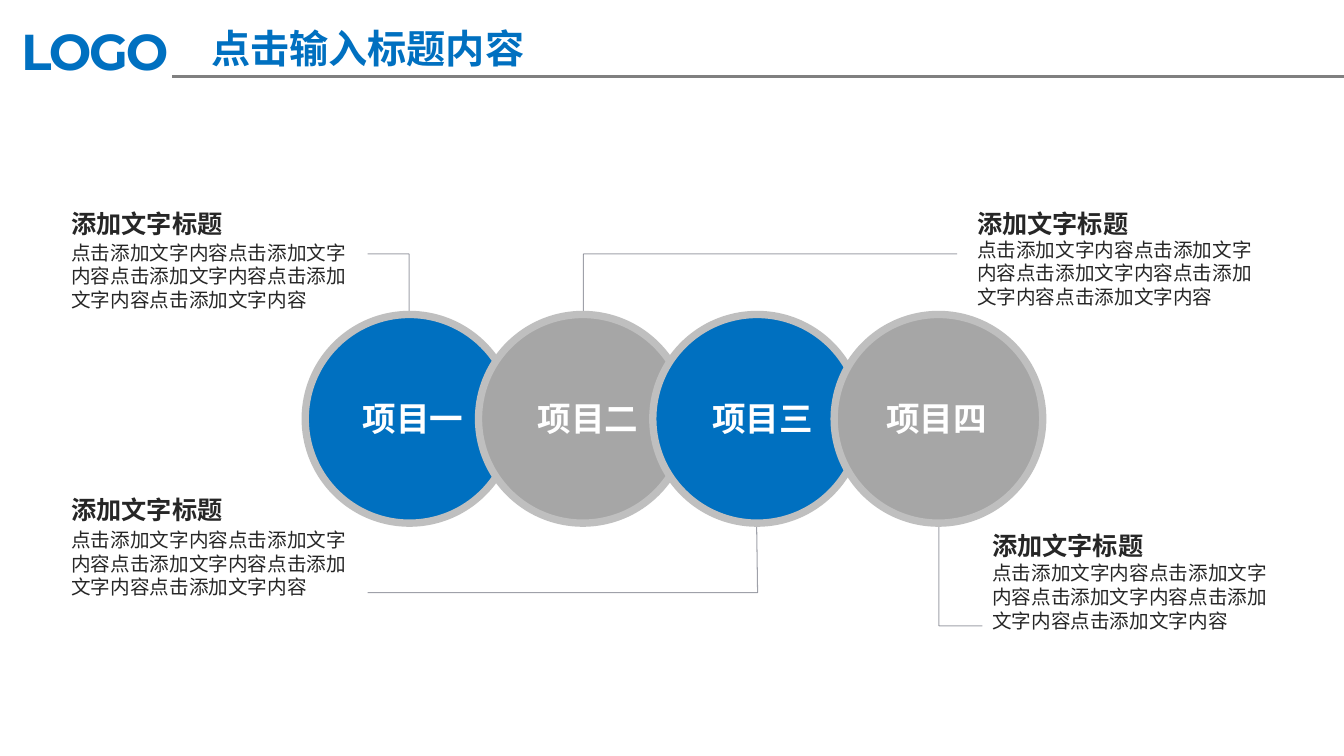
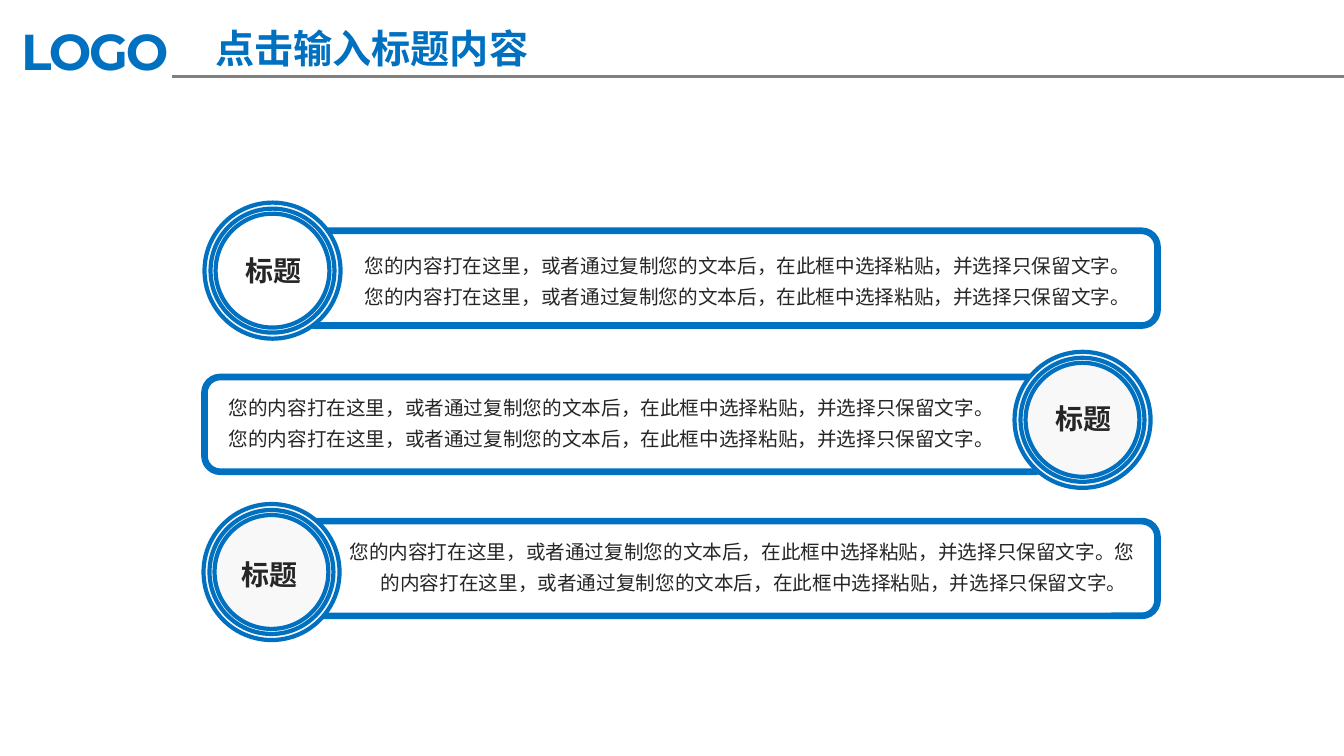
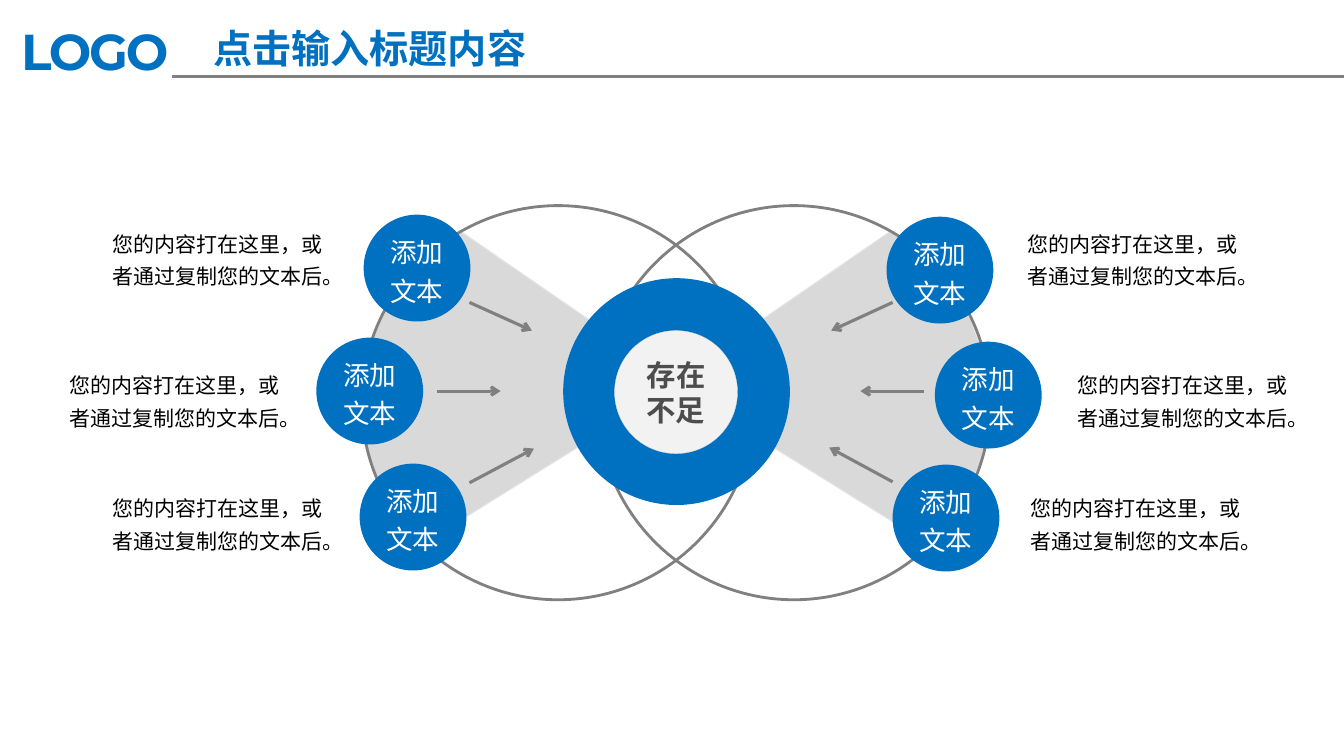
from dataclasses import dataclass

from lxml import etree
from pptx import Presentation
from pptx.dml.color import RGBColor
from pptx.enum.shapes import MSO_CONNECTOR, MSO_SHAPE
from pptx.enum.text import MSO_ANCHOR, MSO_AUTO_SIZE, PP_ALIGN
from pptx.oxml.ns import qn
from pptx.util import Pt

PX = 9144


@dataclass(frozen=True)
class Theme:
    blue: str = "0070C0"
    gray: str = "808080"
    disc: str = "A6A6A6"
    rim: str = "BFBFBF"
    fan: str = "D9D9D9"
    fan_edge: str = "E6E6E6"
    pale: str = "F8F8F8"
    core: str = "F2F2F2"
    core_edge: str = "D7D7D7"
    leader: str = "414455"
    ink: str = "262626"
    core_ink: str = "4D4D4D"
    black: str = "000000"
    white: str = "FFFFFF"
    font: str = "Noto Sans CJK SC"
    logo_font: str = "Montserrat"
    bubble_font: str = "Arial"
    core_font: str = "Arial Narrow"
    logo: int = 36
    title: int = 28
    label: int = 24
    core_size: int = 21
    badge: int = 20
    bubble: int = 19
    heading: int = 18
    note: int = 15
    body: int = 14


T = Theme()


def rgb(color):
    return RGBColor.from_string(color)


def bezier(p0, p1, p2, p3, steps=12):
    points = []
    for i in range(1, steps + 1):
        t = i / steps
        u = 1 - t
        points.append(tuple(
            round(u**3 * a + 3 * u * u * t * b + 3 * u * t * t * c + t**3 * d, 2)
            for a, b, c, d in zip(p0, p1, p2, p3)))
    return points


class Deck:
    def __init__(self, width, height):
        self.prs = Presentation()
        self.prs.slide_width = width * PX
        self.prs.slide_height = height * PX
        self.width = width
        self.s = None

    def slide(self, title, title_x):
        self.s = self.prs.slides.add_slide(self.prs.slide_layouts[5])
        sp = self.s.shapes.title
        sp.left, sp.top, sp.width, sp.height = (
            v * PX for v in (title_x, 19, 360, 57))
        self.fill_text(sp, title, T.title, T.blue, bold=True, align=PP_ALIGN.CENTER)
        self.text(8, 13, 186, 74, "LOGO", T.logo, T.blue, bold=True,
                  font=T.logo_font, inset=(13, 7), tracking=-150)
        self.line((171, 76), (self.width, 76), T.gray, 2)

    def fill_text(self, sp, text, size, color, bold=False, font=T.font,
                  align=PP_ALIGN.LEFT, anchor=MSO_ANCHOR.TOP, spacing=None,
                  inset=(10, 5), hang=0, tracking=None):
        tf = sp.text_frame
        tf.word_wrap = True
        tf.auto_size = MSO_AUTO_SIZE.NONE
        tf.vertical_anchor = anchor
        tf.margin_left = tf.margin_right = inset[0] * PX
        tf.margin_top = tf.margin_bottom = inset[1] * PX
        p = tf.paragraphs[0]
        p.alignment = align
        if spacing:
            p.line_spacing = spacing
        if hang:
            pPr = p._p.get_or_add_pPr()
            pPr.set("marL", str(hang * PX))
            pPr.set("indent", str(-hang * PX))
        r = p.add_run()
        r.text = text
        r.font.size = Pt(size)
        r.font.bold = bold
        r.font.name = font
        r.font.color.rgb = rgb(color)
        rPr = r._r.get_or_add_rPr()
        etree.SubElement(rPr, qn("a:ea")).set("typeface", font)
        if tracking:
            rPr.set("spc", str(tracking))

    def text(self, x, y, w, h, text, size, color, **style):
        sp = self.s.shapes.add_textbox(x * PX, y * PX, w * PX, h * PX)
        self.fill_text(sp, text, size, color, **style)

    def paint(self, sp, fill, line, weight):
        sp.shadow.inherit = False
        if fill:
            sp.fill.solid()
            sp.fill.fore_color.rgb = rgb(fill)
        else:
            sp.fill.background()
        if line:
            sp.line.color.rgb = rgb(line)
            sp.line.width = Pt(weight)
        else:
            sp.line.fill.background()

    def shape(self, kind, x, y, w, h, fill=None, line=None, weight=1):
        sp = self.s.shapes.add_shape(kind, x * PX, y * PX, w * PX, h * PX)
        self.paint(sp, fill, line, weight)
        return sp

    def circle(self, x, y, size, fill=None, line=None, weight=1):
        return self.shape(MSO_SHAPE.OVAL, x, y, size, size, fill, line, weight)

    def polygon(self, points, fill, line, weight):
        builder = self.s.shapes.build_freeform(*points[0], scale=PX)
        builder.add_line_segments(points[1:], close=True)
        self.paint(builder.convert_to_shape(), fill, line, weight)

    def line(self, start, end, color, weight, alpha=None, arrow=False):
        cx = self.s.shapes.add_connector(
            MSO_CONNECTOR.STRAIGHT, *(v * PX for v in (*start, *end)))
        cx.line.color.rgb = rgb(color)
        cx.line.width = Pt(weight)
        spPr = cx._element.spPr
        ln = spPr.find(qn("a:ln"))
        if alpha:
            clr = ln.find(".//" + qn("a:srgbClr"))
            etree.SubElement(clr, qn("a:alpha")).set("val", str(alpha * 1000))
        if arrow:
            etree.SubElement(ln, qn("a:tailEnd")).set("type", "arrow")
        etree.SubElement(spPr, qn("a:effectLst"))

    def leader(self, *points):
        for start, end in zip(points, points[1:]):
            self.line(start, end, T.leader, 0.75, alpha=50)

    def topic(self, x, y, body_y, heading, body):
        self.text(x, y, 305, 43, heading, T.heading, T.ink, bold=True, spacing=1.4)
        self.text(x, body_y, 305, 126, body, T.body, T.ink)

    def badge(self, x, y, middle_fill=None):
        for inset, fill in ((0, T.pale), (6, middle_fill), (11, None)):
            self.circle(x + inset, y + inset, 135 - 2 * inset, fill, T.blue, 3)

    def bubble(self, x, y, text):
        sp = self.circle(x, y, 106, T.blue)
        self.fill_text(sp, text, T.bubble, T.white, font=T.bubble_font, spacing=1.2,
                       align=PP_ALIGN.CENTER, anchor=MSO_ANCHOR.MIDDLE)


TITLE = "点击输入标题内容"


def projects(deck):
    deck.slide(TITLE, 185)
    for x, y, body_y in ((61, 190, 234), (61, 474, 519),
                         (960, 190, 231), (975, 509, 552)):
        deck.topic(x, y, body_y, "添加文字标题", "点击添加文字内容" * 5)
    deck.leader((406, 312), (406, 252), (365, 252))
    deck.leader((579, 312), (579, 252), (950, 252))
    deck.leader((751, 519), (752, 588), (365, 588))
    deck.leader((932, 519), (932, 621), (975, 621))
    for x, label_x, fill, name in ((303, 350, T.blue, "项目一"),
                                   (475, 524, T.disc, "项目二"),
                                   (648, 697, T.blue, "项目三"),
                                   (828, 870, T.disc, "项目四")):
        deck.circle(x, 312, 207, fill, T.rim, 5.25)
        deck.text(label_x, 390, 134, 62, name, T.label, T.white, bold=True)


def panels(deck):
    deck.slide(TITLE, 189)
    for x, y, w in ((296, 517, 853), (203, 374, 840), (296, 229, 853)):
        deck.shape(MSO_SHAPE.ROUNDED_RECTANGLE, x, y, w, 94, None, T.blue, 4.75)
    deck.badge(203, 201, T.white)
    deck.badge(1007, 349)
    deck.badge(202, 500)
    for x, y, w, align in ((205, 247, 133, PP_ALIGN.CENTER),
                           (1038, 393, 109, PP_ALIGN.LEFT),
                           (230, 548, 125, PP_ALIGN.LEFT)):
        deck.text(x, y, w, 44, "标题", T.badge, T.ink, bold=True, align=align)
    sentence = "您的内容打在这里，或者通过复制您的文本后，在此框中选择粘贴，并选择只保留文字。"
    for x, y, w, hang in ((352, 240, 782, 0), (217, 381, 784, 0), (337, 524, 811, 31)):
        deck.text(x, y, w, 68, sentence * 2, T.body, T.ink, spacing=1.3, hang=hang)


def shortcomings(deck):
    deck.slide(TITLE, 187)
    shoulder, rim, tip, foot, side = (
        (954, 301), (883, 230), (665, 380), (922, 540), (982, 397))
    fan = [shoulder, *bezier(shoulder, (923, 259), (931, 262), rim), tip, foot,
           *bezier(foot, (985, 464), (979, 437), side),
           *bezier(side, (980, 365), (973, 330), shoulder)]
    deck.polygon(fan, T.fan, T.fan_edge, 0.75)
    deck.polygon([(1341 - x, y) for x, y in fan], T.fan, T.fan_edge, 0.75)
    for x in (359, 593):
        deck.shape(MSO_SHAPE.OVAL, x, 204, 390, 391, None, T.gray, 2)
    for start, end in (((466, 300), (528, 328)), ((434, 388), (497, 388)),
                       ((466, 479), (530, 445)), ((886, 478), (823, 444)),
                       ((917, 388), (854, 388)), ((886, 300), (825, 328))):
        deck.line(start, end, T.gray, 2.25, arrow=True)
    deck.circle(559, 276, 225, T.blue)
    core = deck.circle(610, 328, 122, T.core, T.core_edge, 0.25)
    deck.fill_text(core, "存在不足", T.core_size, T.core_ink, bold=True,
                   font=T.core_font, align=PP_ALIGN.CENTER, anchor=MSO_ANCHOR.MIDDLE)
    for x, y in ((361, 213), (880, 215), (928, 339), (886, 461), (314, 335), (357, 460)):
        deck.bubble(x, y, "添加文本")
    for y, columns in ((217, (102, 1010)), (357, (59, 1060)), (479, (102, 1013))):
        for x in columns:
            deck.text(x, y, 230, 76, "您的内容打在这里，或者通过复制您的文本后。",
                      T.note, T.black, spacing=1.3)


def main():
    deck = Deck(1334, 750)
    projects(deck)
    panels(deck)
    shortcomings(deck)
    deck.prs.save("out.pptx")


if __name__ == "__main__":
    main()
